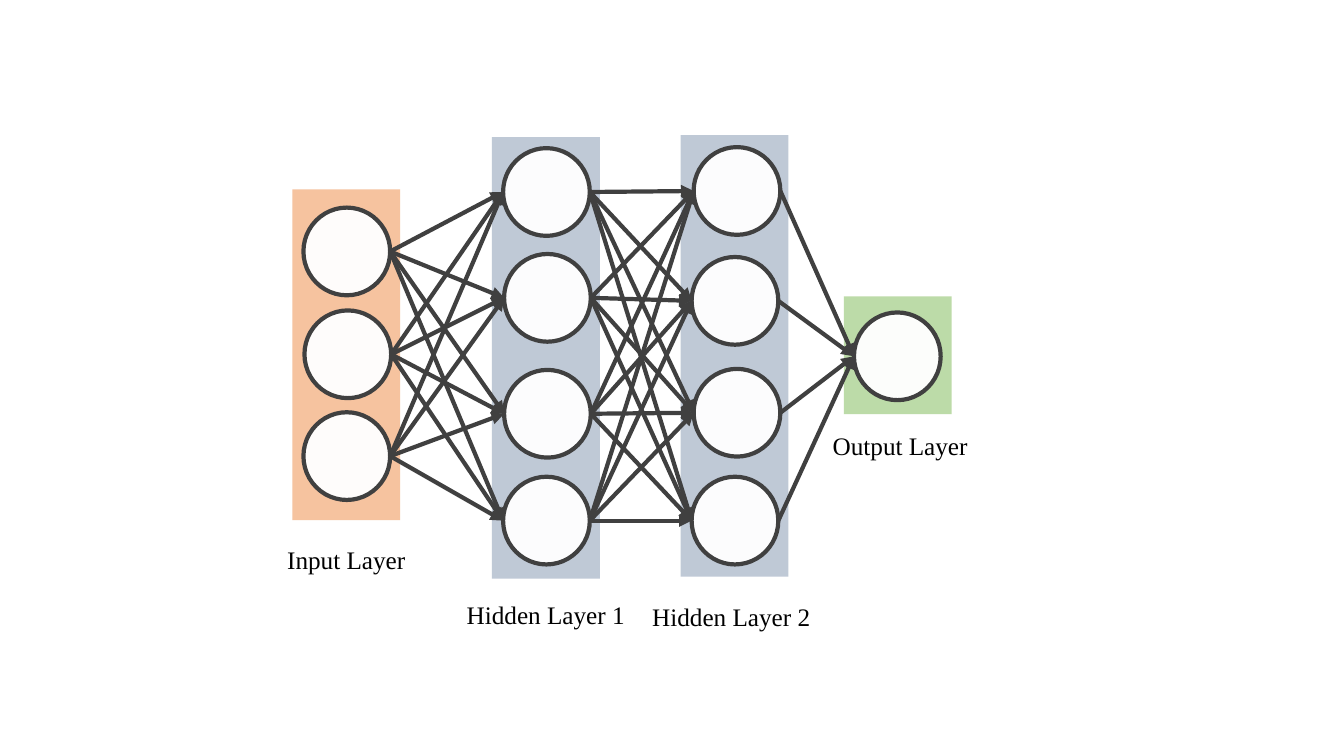
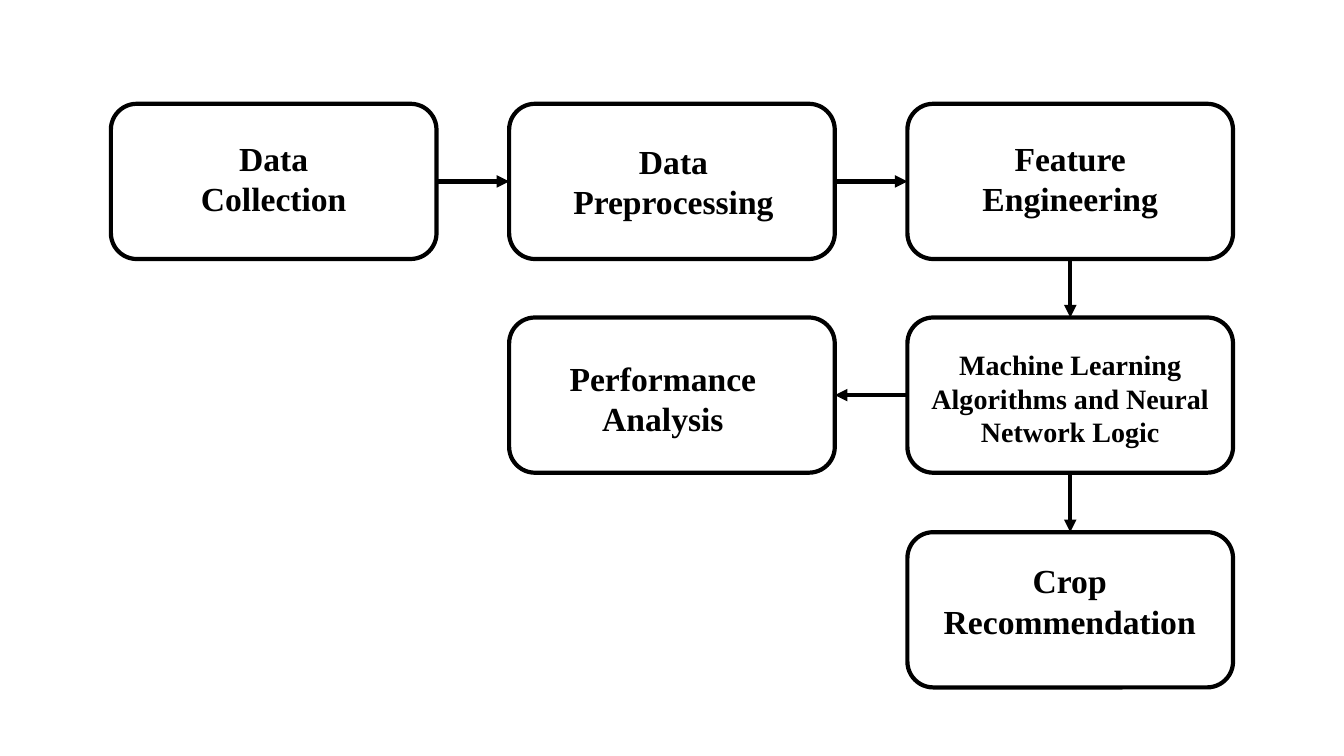
"""Builds a neural network diagram and a crop recommendation workflow."""
from itertools import product

from lxml import etree
from pptx import Presentation
from pptx.dml.color import RGBColor
from pptx.enum.shapes import MSO_CONNECTOR, MSO_SHAPE
from pptx.enum.text import MSO_AUTO_SIZE, PP_ALIGN
from pptx.oxml.ns import qn
from pptx.util import Inches, Pt

STRAIGHT = MSO_CONNECTOR.STRAIGHT
RECTANGLE, ROUNDED, OVAL = MSO_SHAPE.RECTANGLE, MSO_SHAPE.ROUNDED_RECTANGLE, MSO_SHAPE.OVAL
LEFT, CENTER = PP_ALIGN.LEFT, PP_ALIGN.CENTER
FIT_SHAPE = MSO_AUTO_SIZE.SHAPE_TO_FIT_TEXT
TOP_SIDE, LEFT_SIDE, BOTTOM_SIDE, RIGHT_SIDE = range(4)

BLACK = RGBColor(0x00, 0x00, 0x00)
WHITE = RGBColor(0xFF, 0xFF, 0xFF)
CHARCOAL = RGBColor(0x40, 0x40, 0x40)
ORANGE = RGBColor(0xF4, 0xB1, 0x83)
GREEN = RGBColor(0xA9, 0xD1, 0x8E)
BLUE_GREY = RGBColor(0xAD, 0xB9, 0xCA)
FONT = "Times New Roman"
STROKE = Pt(3)


def add_box(slide, preset, left, top, width, height, fill, opacity=100, outline=None):
    box = slide.shapes.add_shape(preset, Inches(left), Inches(top), Inches(width), Inches(height))
    box.shadow.inherit = False
    box.fill.solid()
    box.fill.fore_color.rgb = fill
    if opacity < 100:
        color = box.fill._xPr.find(qn("a:solidFill"))[0]
        etree.SubElement(color, qn("a:alpha"), val=str(opacity * 1000))
    if outline is None:
        box.line.fill.background()
    else:
        box.line.color.rgb = outline
        box.line.width = STROKE
    return box


def add_arrow(slide, start, end, color):
    arrow = slide.shapes.add_connector(STRAIGHT, *start, *end)
    arrow.line.color.rgb = color
    arrow.line.width = STROKE
    etree.SubElement(arrow.line._get_or_add_ln(), qn("a:tailEnd"), type="triangle")
    etree.SubElement(arrow._element.spPr, qn("a:effectLst"))
    return arrow


prs = Presentation()
prs.slide_width, prs.slide_height = Inches(13.33), Inches(7.5)
blank = prs.slide_layouts[6]

network = prs.slides.add_slide(blank)
BAND_WIDTH = 1.07
NODE_WIDTH, NODE_HEIGHT = 0.86, 0.87
layers = [
    (2.9, 1.88, 3.28, ORANGE, [(3.01, 2.06), (3.02, 3.08), (3.01, 4.09)]),
    (4.88, 1.36, 4.38, BLUE_GREY, [(4.99, 1.47), (5, 2.52), (5, 3.67), (4.99, 4.73)]),
    (6.75, 1.34, 4.38, BLUE_GREY, [(6.88, 1.46), (6.86, 2.55), (6.88, 3.66), (6.86, 4.73)]),
    (8.37, 2.94, 1.17, GREEN, [(8.47, 3.1)]),
]
node_layers = []
for left, top, height, color, positions in layers:
    add_box(network, RECTANGLE, left, top, BAND_WIDTH, height, color, 77)
    node_layers.append([
        add_box(network, OVAL, x, y, NODE_WIDTH, NODE_HEIGHT, WHITE, 96, CHARCOAL)
        for x, y in positions
    ])
for sources, targets in zip(node_layers, node_layers[1:]):
    for source, target in product(sources, targets):
        add_arrow(
            network,
            (source.left + source.width, source.top + source.height // 2),
            (target.left, target.top + target.height // 2),
            CHARCOAL,
        )

workflow = prs.slides.add_slide(blank)
COLUMNS = [1.1, 5.05, 9]
ROWS = [1.03, 3.15, 5.28]
STEP_WIDTH, STEP_HEIGHT = 3.23, 1.54
collection, preprocessing, features, learning, performance, recommendation = [
    add_box(workflow, ROUNDED, COLUMNS[column], ROWS[row], STEP_WIDTH, STEP_HEIGHT, WHITE, outline=BLACK)
    for column, row in [(0, 0), (1, 0), (2, 0), (2, 1), (1, 1), (2, 2)]
]
for source, source_side, target, target_side in [
    (collection, RIGHT_SIDE, preprocessing, LEFT_SIDE),
    (preprocessing, RIGHT_SIDE, features, LEFT_SIDE),
    (features, BOTTOM_SIDE, learning, TOP_SIDE),
    (learning, LEFT_SIDE, performance, RIGHT_SIDE),
    (learning, BOTTOM_SIDE, recommendation, TOP_SIDE),
]:
    flow = add_arrow(workflow, (0, 0), (0, 0), BLACK)
    flow.begin_connect(source, source_side)
    flow.end_connect(target, target_side)

layer_labels = [
    ("Input Layer", 18, 2.75, 5.35, 1.4, 0.4),
    ("Output Layer", 18, 8.16, 4.22, 1.58, 0.4),
    ("Hidden Layer 1", 18, 4.53, 5.9, 1.79, 0.4),
    ("Hidden Layer 2", 18, 6.37, 5.92, 1.91, 0.4),
]
step_labels = [
    ("Data Collection", 24, 1.55, 1.32, 2.33, 0.91),
    ("Data Preprocessing", 24, 5.41, 1.35, 2.54, 0.91),
    ("Feature Engineering", 24, 9.45, 1.32, 2.33, 0.91),
    ("Performance Analysis", 24, 5.41, 3.5, 2.33, 0.91),
    ("Machine Learning Algorithms and Neural Network Logic", 20, 9, 3.4, 3.23, 1.11),
    ("Crop Recommendation", 24, 9.16, 5.51, 2.9, 0.91),
]
for slide, labels, alignment, bold in [
    (network, layer_labels, LEFT, False),
    (workflow, step_labels, CENTER, True),
]:
    for wording, size, *area in labels:
        frame = slide.shapes.add_textbox(*map(Inches, area)).text_frame
        frame.word_wrap = True
        frame.auto_size = FIT_SHAPE
        paragraph = frame.paragraphs[0]
        paragraph.alignment = alignment
        run = paragraph.add_run()
        run.text = wording
        run.font.name = FONT
        run.font.size = Pt(size)
        run.font.bold = bold
        run.font.color.rgb = BLACK

prs.save("out.pptx")
